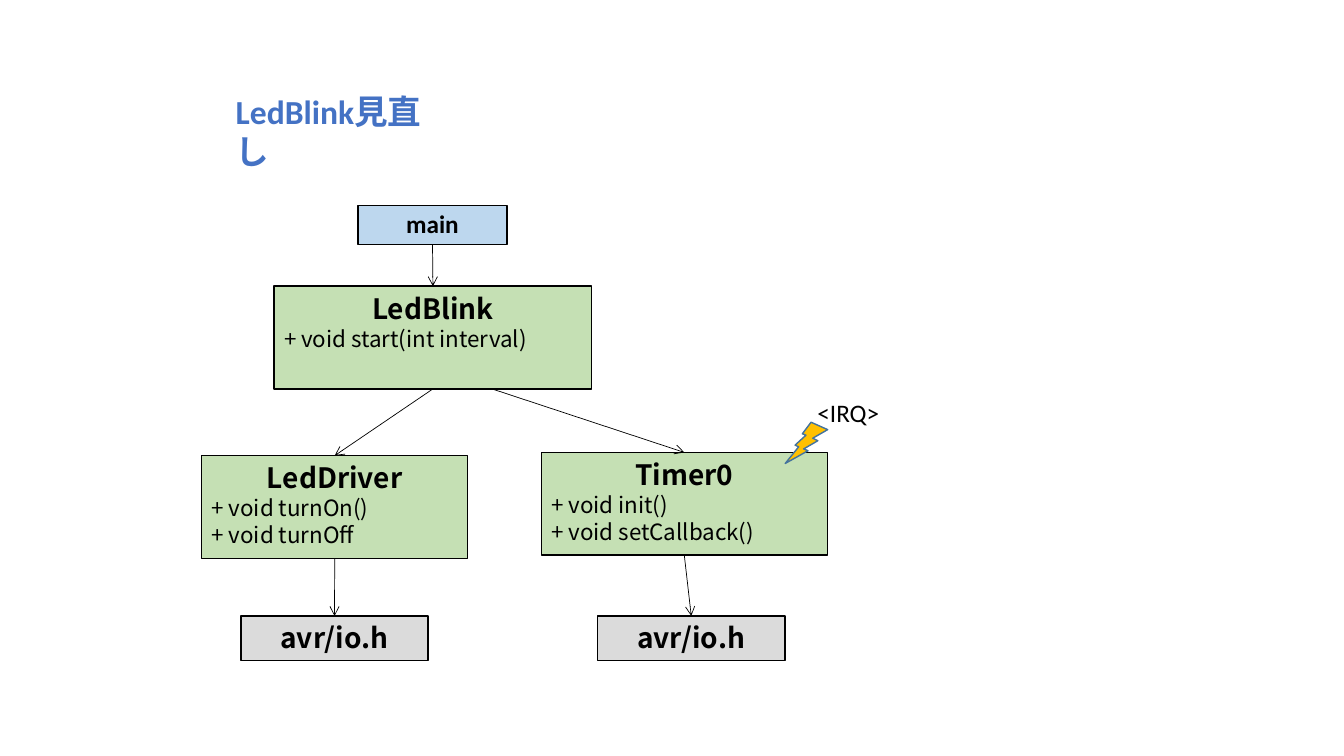
from lxml.etree import SubElement
from pptx import Presentation
from pptx.dml.color import RGBColor
from pptx.enum.shapes import MSO_CONNECTOR, MSO_SHAPE
from pptx.enum.text import MSO_ANCHOR, PP_ALIGN
from pptx.oxml.ns import qn
from pptx.util import Cm, Pt

SANS = "Noto Sans CJK JP"
TOP_SITE, BOTTOM_SITE = 0, 2
CLASS_FILL, HEADER_FILL, MAIN_FILL = "C5E0B4", "DBDBDB", "BDD7EE"


def color(hex_text):
    """Turn a hex string into a colour."""
    return RGBColor.from_string(hex_text)


def set_all(target, values):
    """Set attributes from a dict."""
    for name, value in values.items():
        setattr(target, name, value)


def write(paragraph, text, size, font=SANS, bold=False, ink="000000", **layout):
    """Write one formatted run and lay out its paragraph."""
    run = paragraph.add_run()
    run.text = text
    set_all(run.font, {"size": Pt(size), "name": font, "bold": bold})
    run.font.color.rgb = color(ink)
    set_all(paragraph, layout)


def add_filled(slide, kind, box, fill, line="000000"):
    """Add a filled, outlined preset shape."""
    shape = slide.shapes.add_shape(kind, *map(Cm, box))
    shape.shadow.inherit = False
    shape.fill.solid()
    shape.fill.fore_color.rgb = color(fill)
    shape.line.color.rgb = color(line)
    shape.line.width = Pt(1)
    return shape


def add_box(slide, box, fill, name, members=(), anchor=MSO_ANCHOR.TOP, **style):
    """Add a module box with a bold name above its members."""
    shape = add_filled(slide, MSO_SHAPE.RECTANGLE, box, fill)
    frame = shape.text_frame
    set_all(frame, {"word_wrap": True, "vertical_anchor": anchor})
    heading = {"size": 20, "bold": True, "alignment": PP_ALIGN.CENTER} | style
    write(frame.paragraphs[0], name, **heading)
    for member in members:
        write(frame.add_paragraph(), member, 16, alignment=PP_ALIGN.LEFT)
    return shape


def add_label(slide, box, text, size, wrap, **style):
    """Add a free text label."""
    frame = slide.shapes.add_textbox(*map(Cm, box)).text_frame
    frame.word_wrap = wrap
    write(frame.paragraphs[0], text, size, font="Calibri", **style)


def add_arrow(slide, user, used, start_x=None):
    """Point from the bottom of one box to the top of the box it uses."""
    arrow = slide.shapes.add_connector(MSO_CONNECTOR.STRAIGHT, 0, 0, 0, 0)
    if start_x is None:
        arrow.begin_connect(user, BOTTOM_SITE)
    else:
        arrow.begin_x, arrow.begin_y = Cm(start_x), user.top + user.height
    arrow.end_connect(used, TOP_SITE)
    arrow.line.color.rgb = color("000000")
    arrow.line.width = Pt(0.5)
    SubElement(arrow.line._get_or_add_ln(), qn("a:tailEnd"), type="arrow")
    SubElement(arrow._element.spPr, qn("a:effectLst"))


def main():
    """Build the LedBlink module diagram."""
    presentation = Presentation()
    set_all(presentation, {"slide_width": Cm(33.87), "slide_height": Cm(19.05)})
    slide = presentation.slides.add_slide(presentation.slide_layouts[6])

    add_label(slide, (5.69, 2.16, 5.92, 1.27), "LedBlink見直し", 24, True,
              bold=True, ink="4472C4")
    main_box = add_box(slide, (9.02, 5.18, 3.76, 0.99), MAIN_FILL, "main",
                       anchor=MSO_ANCHOR.MIDDLE, size=18, font="Calibri",
                       line_spacing=0.9)
    led_blink = add_box(slide, (6.91, 7.21, 8, 2.59), CLASS_FILL, "LedBlink",
                        ["+ void start(int interval)"])
    led_driver = add_box(slide, (5.08, 11.48, 6.71, 2.59), CLASS_FILL,
                         "LedDriver", ["+ void turnOn()", "+ void turnOff"])
    timer = add_box(slide, (13.64, 11.4, 7.21, 2.59), CLASS_FILL, "Timer0",
                    ["+ void init()", "+ void setCallback()"])
    driver_header, timer_header = [
        add_box(slide, (left, 15.52, 4.72, 1.12), HEADER_FILL, "avr/io.h")
        for left in (6.07, 15.06)]

    add_arrow(slide, main_box, led_blink)
    add_arrow(slide, led_blink, led_driver)
    add_arrow(slide, led_blink, timer, start_x=12.4)
    add_arrow(slide, led_driver, driver_header)
    add_arrow(slide, timer, timer_header)

    bolt = add_filled(slide, MSO_SHAPE.LIGHTNING_BOLT, (19.79, 10.64, 1.07, 1.04),
                      "FFC000", line="43739E")
    bolt._element.spPr.xfrm.set("flipH", "1")
    add_label(slide, (20.35, 9.88, 2.08, 1.02), "<IRQ>", 18, False)

    presentation.save("out.pptx")


main()
